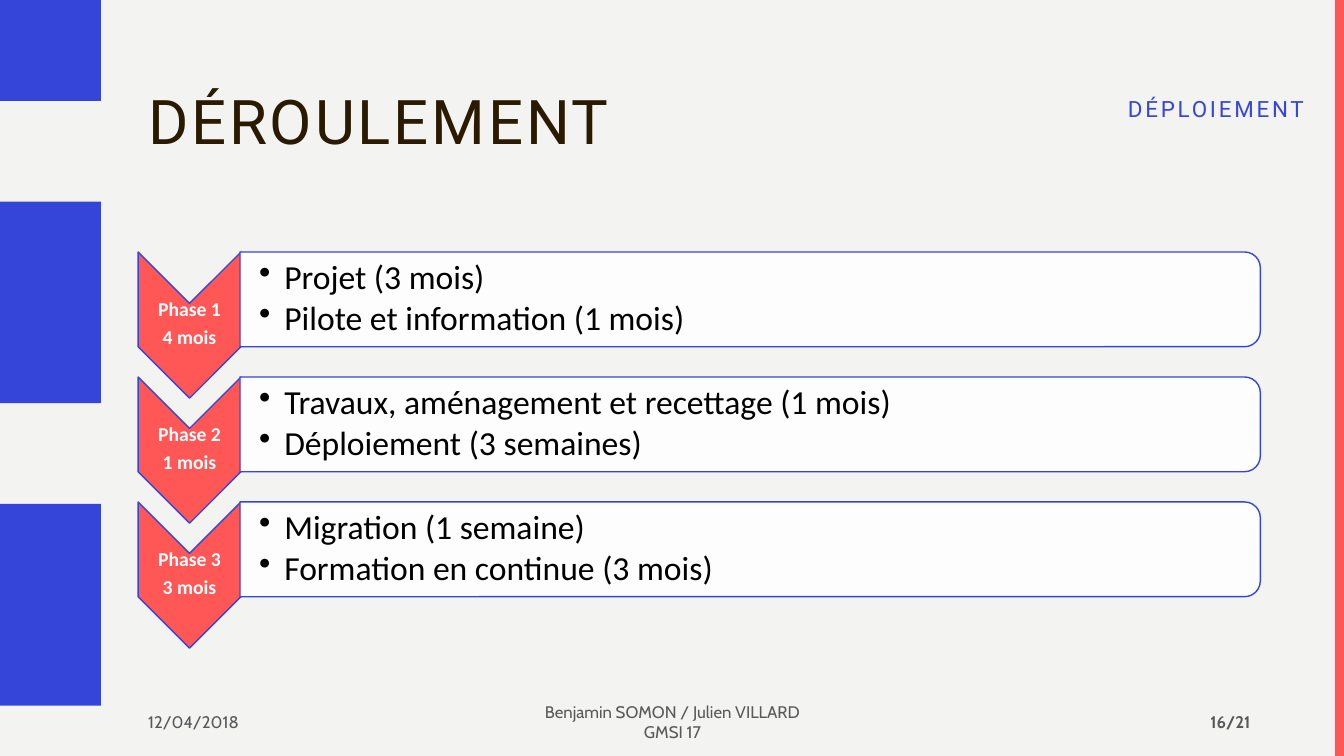
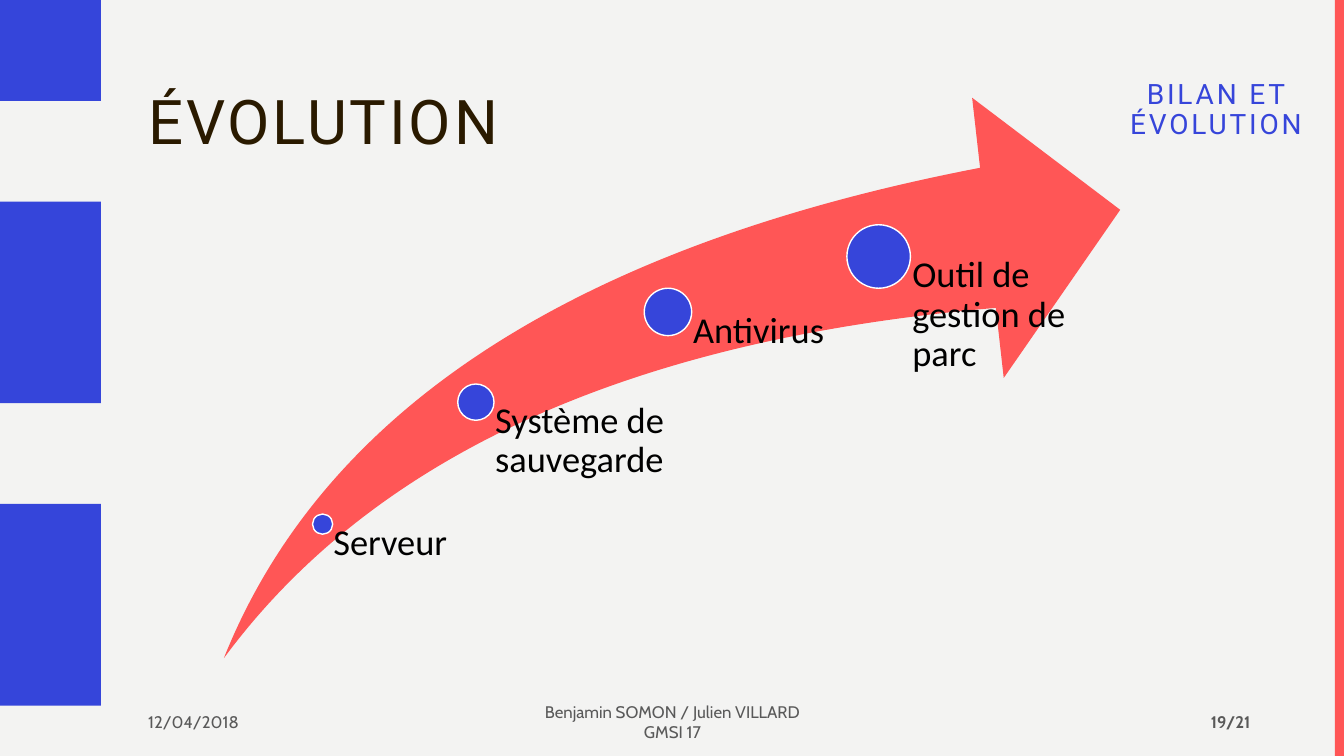
from lxml.etree import SubElement
from pptx import Presentation
from pptx.dml.color import RGBColor
from pptx.enum.shapes import MSO_SHAPE
from pptx.enum.text import MSO_ANCHOR, MSO_AUTO_SIZE, PP_ALIGN
from pptx.oxml.ns import qn
from pptx.util import Inches, Pt

BLUE = RGBColor(0x35, 0x45, 0xDA)
INK = RGBColor(0x36, 0x45, 0xDA)
RED = RGBColor(0xFF, 0x56, 0x56)
BROWN = RGBColor(0x2A, 0x1A, 0x00)
GREY = RGBColor(0x59, 0x59, 0x59)
PAPER = RGBColor(0xF3, 0xF3, 0xF2)
WHITE = RGBColor(0xFF, 0xFF, 0xFF)
BLACK = RGBColor(0x00, 0x00, 0x00)

HEAD, BODY, SMALL = "Roboto", "Calibri", "Cabin"
LEFT, MID, RIGHT = PP_ALIGN.LEFT, PP_ALIGN.CENTER, PP_ALIGN.RIGHT
WIDE, HIGH = 13.33, 7.5
WAVE = [(0.5, 0), (0.5, 0.07), (0.51, 0.14), (0.51, 0.2), (0.52, 0.25),
        (0.54, 0.29), (0.55, 0.33), (0.56, 0.38), (0.58, 0.42), (0.59, 0.46),
        (0.6, 0.5), (0.61, 0.55), (0.62, 0.61), (0.62, 0.68), (0.62, 0.75)]
PERIOD = 1.5
PHASES = [
    (["Phase 1", "4 mois"], ["Projet (3 mois)", "Pilote et information (1 mois)"]),
    (["Phase 2", "1 mois"], ["Travaux, aménagement et recettage (1 mois)",
                             "Déploiement (3 semaines)"]),
    (["Phase 3", "3 mois"], ["Migration (1 semaine)", "Formation en continue (3 mois)"]),
]
STEPS = [
    ("Serveur", 3.1, 5.1, 0.2, 1.52),
    ("Système de sauvegarde", 4.54, 3.81, 0.36, 1.87),
    ("Antivirus", 6.39, 2.86, 0.47, 1.87),
    ("Outil de gestion de parc", 8.4, 2.23, 0.63, 1.87),
]


class Deck:
    """Holds the style and the current slide, and draws each kind of element."""

    def __init__(self):
        self.show = Presentation()
        self.show.slide_width = Inches(WIDE)
        self.show.slide_height = Inches(HIGH)
        self.slide = None

    def open(self, title, tag, size, page):
        self.slide = self.show.slides.add_slide(self.show.slide_layouts[5])
        if page.startswith("16"):
            self.frame()
        head = self.slide.shapes.title
        head.left, head.top, head.width, head.height = map(Inches, (1.37, 0.42, 11.13, 1.63))
        self.fill_text(head.text_frame, [title], 44, HEAD, BROWN, space=0.9, track=2)
        self.text((10.95, 0.51, 2.22, 1.17), tag, size, HEAD, INK, align=MID, space=0.9, track=2)
        foot = [((1.37, 2.55), ["12/04/2018"], LEFT, False),
                ((4.42, 4.5), ["Benjamin SOMON / Julien VILLARD", "GMSI 17"], MID, False),
                ((9.42, 3.08), [page], RIGHT, True)]
        for (x, w), lines, align, bold in foot:
            self.text((x, 6.97, w, 0.38), lines, 12, SMALL, GREY, align=align, bold=bold)

    def frame(self):
        master = self.show.slide_master
        master.background.fill.solid()
        master.background.fill.fore_color.rgb = PAPER
        edge = WAVE + [(x, PERIOD - y) for x, y in WAVE[-2::-1]]
        points = [(x, y + n * PERIOD) for n in range(5) for x, y in edge]
        pen = self.slide.shapes.build_freeform(0, 0, scale=Inches(1))
        pen.add_line_segments(points + [(0, HIGH)], close=True)
        wave = self.paint(pen.convert_to_shape(), BLUE)
        bar = self.shape(MSO_SHAPE.RECTANGLE, (13.24, 0, 0.09, HIGH), RED)
        for spot, part in enumerate((wave, bar)):
            part.element.xpath(".//p:cNvPr")[0].set("id", str(101 + spot))
            master.shapes.element.insert(2 + spot, part.element)

    def paint(self, shape, fill, line=None):
        shape.shadow.inherit = False
        shape.fill.solid()
        shape.fill.fore_color.rgb = fill
        if line is None:
            shape.line.fill.background()
        else:
            shape.line.color.rgb = line
            shape.line.width = Pt(1)
        return shape

    def shape(self, kind, box, fill, line=None):
        return self.paint(self.slide.shapes.add_shape(kind, *map(Inches, box)), fill, line)

    def turned(self, kind, box, fill, line):
        x, y, w, h = box
        shape = self.shape(kind, (x + (w - h) / 2, y + (h - w) / 2, h, w), fill, line)
        shape.rotation = 90
        return shape

    def text(self, box, lines, size, font, color, **style):
        shape = self.slide.shapes.add_textbox(*map(Inches, box))
        self.fill_text(shape.text_frame, lines, size, font, color, **style)

    def fill_text(self, frame, lines, size, font, color, align=LEFT, bold=False, space=1.0,
                  after=0, track=0, inset=None, anchor=MSO_ANCHOR.MIDDLE, bullet=False):
        frame.word_wrap = True
        frame.auto_size = MSO_AUTO_SIZE.NONE
        frame.vertical_anchor = anchor
        if inset:
            (frame.margin_left, frame.margin_top,
             frame.margin_right, frame.margin_bottom) = map(Inches, inset)
        for n, line in enumerate(lines):
            para = frame.add_paragraph() if n else frame.paragraphs[0]
            para.alignment = align
            para.line_spacing = space
            para.space_before = Pt(0)
            para.space_after = Pt(after)
            run = para.add_run()
            run.text = line
            run.font.name, run.font.size, run.font.bold = font, Pt(size), bold
            run.font.color.rgb = color
            if track:
                run._r.get_or_add_rPr().set("spc", str(track * 100))
            if bullet:
                props = para._p.get_or_add_pPr()
                props.set("marL", str(Inches(0.25)))
                props.set("indent", str(-Inches(0.25)))
                SubElement(props, qn("a:buChar")).set("char", "•")

    def phase(self, top, label, tasks):
        self.turned(MSO_SHAPE.CHEVRON, (1.37, top, 1.02, 1.45), RED, INK)
        self.text((1.37, top + 0.5, 1.02, 0.44), label, 14, BODY, WHITE, align=MID, bold=True,
                  space=0.9, after=4.9, inset=[0.01] * 4)
        slab = self.turned(MSO_SHAPE.ROUND_2_SAME_RECTANGLE, (2.38, top, 10.12, 0.94), WHITE, INK)
        tint = slab.element.spPr.find(qn("a:solidFill"))[0]
        SubElement(tint, qn("a:alpha")).set("val", "90000")
        self.text((2.38, top + 0.04, 10.07, 0.85), tasks, 24, BODY, BLACK, space=0.9,
                  after=3.6, inset=(0.19, 0.02, 0.02, 0.02), bullet=True)

    def step(self, label, x, y, size, wide):
        self.shape(MSO_SHAPE.OVAL, (x, y, size, size), INK, WHITE)
        left, top = x + size / 2, y + size / 2
        self.text((left, top, wide, 6.53 - top), [label], 26, BODY, BLACK, space=0.9, after=9.1,
                  inset=(size * 0.53, 0, 0, 0), anchor=MSO_ANCHOR.TOP)

    def swoosh(self, box):
        arrow = self.shape(MSO_SHAPE.SWOOSH_ARROW, box, RED)
        arrow.adjustments[0] = arrow.adjustments[1] = 0.25


def main():
    deck = Deck()
    deck.open("DÉROULEMENT", ["DÉPLOIEMENT"], 16, "16/21")
    for n, (label, tasks) in enumerate(PHASES):
        deck.phase(2.5 + n * 1.24, label, tasks)
    deck.open("ÉVOLUTION", ["BILAN ET", "ÉVOLUTION"], 20, "19/21")
    deck.swoosh((2.22, 0.97, 8.89, 5.56))
    for step in STEPS:
        deck.step(*step)
    deck.show.save("out.pptx")


if __name__ == "__main__":
    main()
